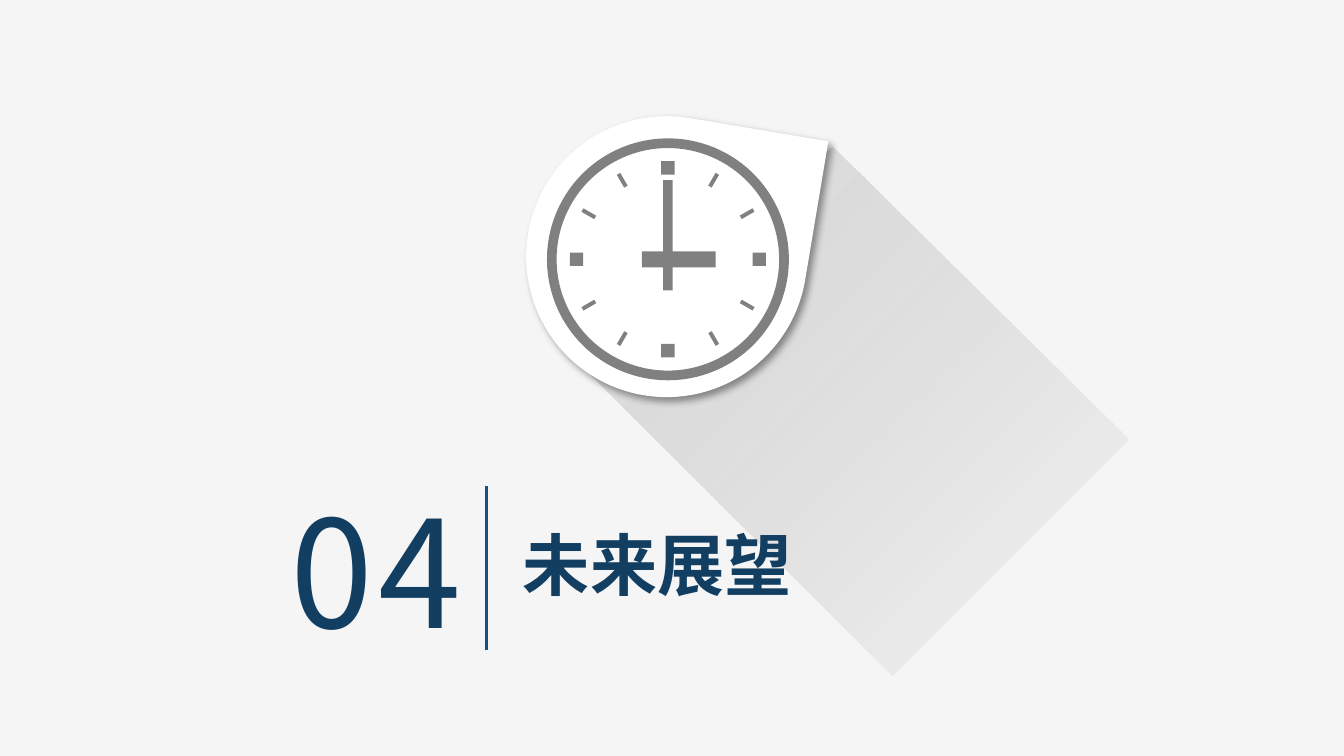
import math
from dataclasses import dataclass

from lxml import etree
from pptx import Presentation
from pptx.dml.color import RGBColor
from pptx.enum.shapes import MSO_CONNECTOR, MSO_SHAPE
from pptx.enum.text import MSO_ANCHOR, MSO_AUTO_SIZE, PP_ALIGN
from pptx.oxml.ns import qn
from pptx.util import Inches, Pt


@dataclass(frozen=True)
class Theme:
    """Colours, font and type sizes of the slide."""
    background: str = "F5F5F6"
    badge: str = "FFFFFF"
    clock: str = "808080"
    text: str = "123E61"
    divider: str = "18507E"
    shade_start: str = "D9D9D9"
    shade_end: str = "BFBFBF"
    font: str = "Noto Sans CJK SC"
    number_size: float = 80
    title_size: float = 36


@dataclass(frozen=True)
class Part:
    """A filled preset shape, placed by its centre."""
    kind: MSO_SHAPE
    x: float
    y: float
    width: float
    height: float
    angle: float = 0


THEME = Theme()
CLOCK_X, CLOCK_Y = 4.97, 1.93
RING_SIZE, TICK_RADIUS = 1.8, 0.68
SHADE_CORNERS = [(4.24, 2.64), (6.19, 1.09), (8.39, 3.27), (6.63, 5.03)]
SHADE_CENTRE = (6.32, 2.96)
SHADE_ANGLE = 315


def rgb(value: str) -> RGBColor:
    """Turn a hex string into a colour."""
    return RGBColor.from_string(value)


def add_part(slide, part: Part, colour: str):
    """Draw a part without outline or shadow."""
    shape = slide.shapes.add_shape(
        part.kind, Inches(part.x - part.width / 2), Inches(part.y - part.height / 2),
        Inches(part.width), Inches(part.height))
    shape.rotation = part.angle
    shape.fill.solid()
    shape.fill.fore_color.rgb = rgb(colour)
    shape.line.fill.background()
    shape.shadow.inherit = False
    return shape


def add_long_shade(slide) -> None:
    """Draw the fading long shade, turned so its gradient runs diagonally."""
    turn = math.radians(-SHADE_ANGLE)
    cx, cy = SHADE_CENTRE
    points = [(Inches(cx + (x - cx) * math.cos(turn) - (y - cy) * math.sin(turn)),
               Inches(cy + (x - cx) * math.sin(turn) + (y - cy) * math.cos(turn)))
              for x, y in SHADE_CORNERS]
    builder = slide.shapes.build_freeform(*points[0], scale=1.0)
    builder.add_line_segments(points[1:], close=True)
    shade = builder.convert_to_shape()
    shade.rotation = SHADE_ANGLE
    shade.line.fill.background()
    shade.shadow.inherit = False
    shade.fill.gradient()
    shade.fill.gradient_angle = 270
    for stop, position, colour in zip(shade.fill.gradient_stops, (0, 1),
                                      (THEME.shade_start, THEME.shade_end)):
        stop.position = position
        stop.color.rgb = rgb(colour)
    end_colour = shade.element.spPr.findall(".//" + qn("a:srgbClr"))[-1]
    etree.SubElement(end_colour, qn("a:alpha"), val="0")


def add_badge(slide) -> None:
    """Draw the white teardrop with its soft drop shadow."""
    badge = add_part(slide, Part(MSO_SHAPE.TEAR, 4.96, 1.91, 2.09, 2.09, 9.5), THEME.badge)
    effects = badge.element.spPr.find(qn("a:effectLst"))
    shadow = etree.SubElement(effects, qn("a:outerShdw"), blurRad=str(Pt(4)),
                              dist=str(Pt(3)), dir=str(45 * 60000), algn="tl",
                              rotWithShape="0")
    colour = etree.SubElement(shadow, qn("a:srgbClr"), val="000000")
    etree.SubElement(colour, qn("a:alpha"), val="40000")


def add_clock(slide) -> None:
    """Draw the ring, the twelve hour marks and the two hands."""
    ring = add_part(slide, Part(MSO_SHAPE.DONUT, CLOCK_X, CLOCK_Y, RING_SIZE, RING_SIZE),
                    THEME.clock)
    ring.adjustments[0] = 0.04
    for hour in range(12):
        angle = hour * 30
        x = CLOCK_X + TICK_RADIUS * math.sin(math.radians(angle))
        y = CLOCK_Y - TICK_RADIUS * math.cos(math.radians(angle))
        quarter = hour % 3 == 0
        mark = Part(MSO_SHAPE.RECTANGLE, x, y, 0.1 if quarter else 0.03,
                    0.1 if quarter else 0.11, 0 if quarter else angle)
        add_part(slide, mark, THEME.clock)
    for hand in (Part(MSO_SHAPE.RECTANGLE, CLOCK_X, 1.75, 0.07, 0.82),
                 Part(MSO_SHAPE.RECTANGLE, 5.05, CLOCK_Y, 0.12, 0.55, 90)):
        add_part(slide, hand, THEME.clock)


def write(frame, text: str, size: float, bold: bool = False):
    """Write one left-aligned run and return it."""
    paragraph = frame.paragraphs[0]
    paragraph.alignment = PP_ALIGN.LEFT
    run = paragraph.add_run()
    run.text = text
    run.font.name = THEME.font
    run.font.size = Pt(size)
    run.font.bold = bold
    run.font.color.rgb = rgb(THEME.text)
    etree.SubElement(run.font._element, qn("a:ea"), typeface=THEME.font)
    return run


def add_heading(slide) -> None:
    """Place the section number, the title and the divider between them."""
    number = slide.shapes.add_textbox(Inches(2.09), Inches(3.6), Inches(1.56), Inches(1.26))
    frame = number.text_frame
    frame.word_wrap = True
    frame.vertical_anchor = MSO_ANCHOR.MIDDLE
    frame.margin_left = frame.margin_right = Inches(0.07)
    frame.margin_top = frame.margin_bottom = Inches(0.04)
    run = write(frame, "04", THEME.number_size)
    run.font._element.set("spc", "300")

    title = slide.shapes.title
    title.left, title.top = Inches(3.79), Inches(3.84)
    title.width, title.height = Inches(2.2), Inches(0.71)
    frame = title.text_frame
    frame.word_wrap = False
    frame.auto_size = MSO_AUTO_SIZE.NONE
    frame.vertical_anchor = MSO_ANCHOR.TOP
    frame.margin_right = 0
    write(frame, "未来展望", THEME.title_size, bold=True)
    title.element.getparent().append(title.element)

    divider = slide.shapes.add_connector(MSO_CONNECTOR.STRAIGHT, Inches(3.62), Inches(3.62),
                                         Inches(3.62), Inches(4.84))
    divider.line.color.rgb = rgb(THEME.divider)
    divider.line.width = Pt(1.5)
    etree.SubElement(divider.element.spPr, qn("a:effectLst"))


def main() -> None:
    """Build the section slide and save it."""
    deck = Presentation()
    deck.slide_width = Inches(10)
    deck.slide_height = deck.slide_width * 9 // 16
    slide = deck.slides.add_slide(deck.slide_layouts[5])
    slide.background.fill.solid()
    slide.background.fill.fore_color.rgb = rgb(THEME.background)
    add_long_shade(slide)
    add_badge(slide)
    add_clock(slide)
    add_heading(slide)
    deck.save("out.pptx")


main()
